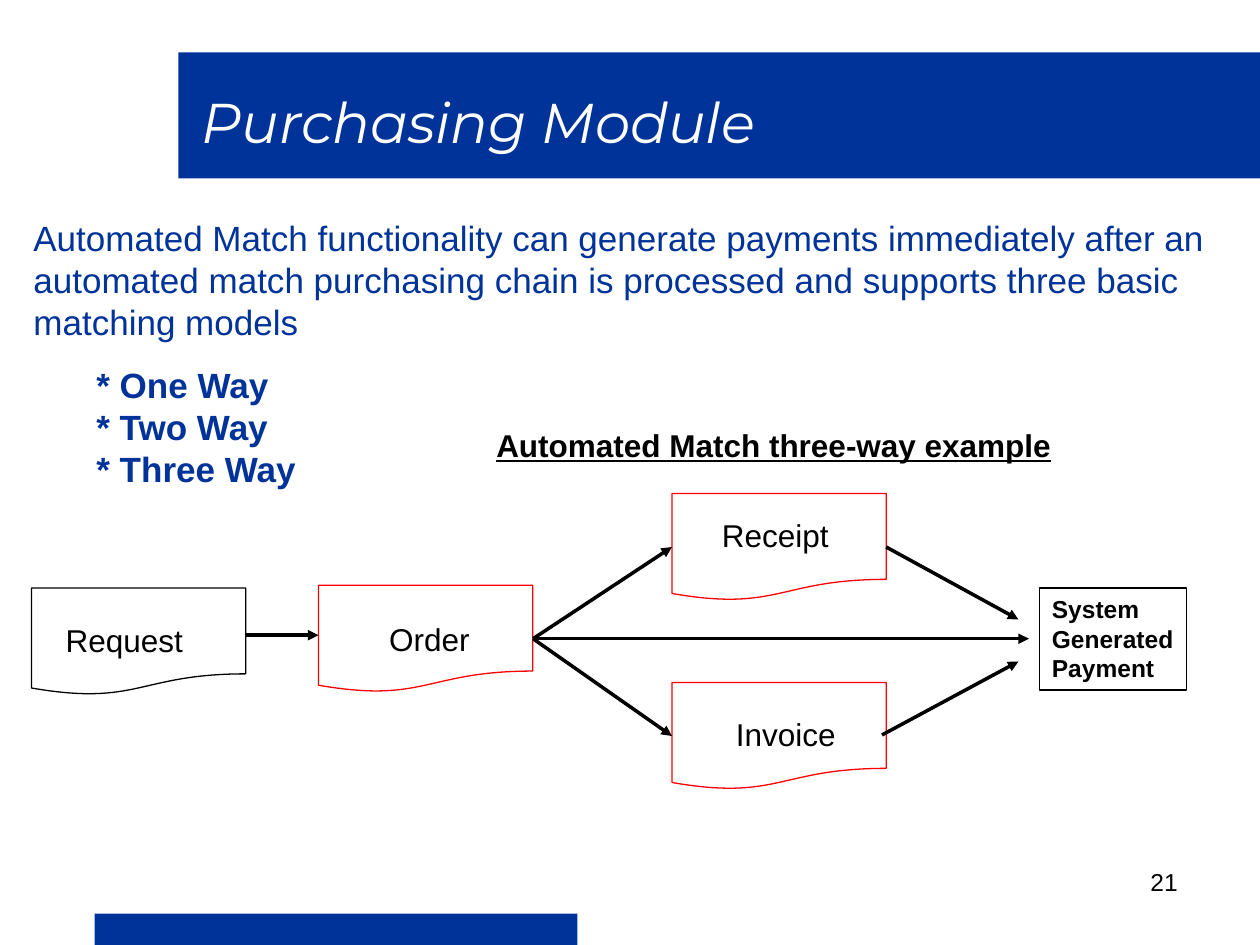
from pptx import Presentation
from pptx.dml.color import RGBColor
from pptx.enum.shapes import MSO_CONNECTOR, MSO_SHAPE
from pptx.enum.text import MSO_ANCHOR, MSO_AUTO_SIZE, PP_ALIGN
from pptx.oxml.ns import qn
from pptx.util import Pt
from lxml import etree

RECT, DOCUMENT = MSO_SHAPE.RECTANGLE, MSO_SHAPE.FLOWCHART_DOCUMENT
STRAIGHT = MSO_CONNECTOR.STRAIGHT
TOP, MIDDLE = MSO_ANCHOR.TOP, MSO_ANCHOR.MIDDLE
LEFT, CENTER, RIGHT = PP_ALIGN.LEFT, PP_ALIGN.CENTER, PP_ALIGN.RIGHT
BLUE, WHITE, BLACK, RED = "003399", "FFFFFF", "000000", "FF0000"

# Content
TITLE = "Purchasing Module"
INTRO = ("Automated Match functionality can generate payments immediately after an "
         "automated match purchasing chain is processed and supports three basic "
         "matching models")
MODELS = ["* One Way", "* Two Way", "* Three Way"]
EXAMPLE = "Automated Match three-way example"
PAYMENT = ["System", "Generated", "Payment"]
PAGE = "21 "

# Geometry in points
BARS = [(54, 522, 276, 18), (102, 30, 618, 72)]
DOC_SIZE, LABEL_SIZE = (122.4, 61.2), (118, 46.8)
DOCUMENTS = [  # name, outline, document corner, label corner
    ("Request", BLACK, (18, 336), (12, 342)),
    ("Order", RED, (182, 334.4), (186.4, 341.6)),
    ("Receipt", RED, (384, 282), (384, 282)),
    ("Invoice", RED, (384, 390), (390, 396)),
]
ORDER_OUT = (304.6, 365)
ARROWS = [
    ((140, 363), (182, 363)),
    (ORDER_OUT, (588, 365)),
    (ORDER_OUT, (384, 312.6)),
    (ORDER_OUT, (384, 420.6)),
    ((506.4, 312.6), (582, 354)),
    ((504, 420), (582, 378)),
]


def color(hex_string):
    return RGBColor.from_string(hex_string)


def write(sp, lines, size, fill=BLACK, font="Arial", bold=False, italic=False,
          underline=False, align=LEFT, anchor=TOP, wrap=True):
    tf = sp.text_frame
    tf.auto_size = MSO_AUTO_SIZE.NONE
    tf.word_wrap = wrap
    tf.vertical_anchor = anchor
    for i, line in enumerate(lines):
        p = tf.add_paragraph() if i else tf.paragraphs[0]
        p.alignment = align
        r = p.add_run()
        r.text = line
        r.font.name, r.font.size = font, Pt(size)
        r.font.bold, r.font.italic, r.font.underline = bold, italic, underline
        r.font.color.rgb = color(fill)


def add_text(s, box, lines, size, **style):
    sp = s.shapes.add_textbox(*map(Pt, box))
    write(sp, lines, size, **style)


def add_box(s, kind, box, fill=None, line=None):
    sp = s.shapes.add_shape(kind, *map(Pt, box))
    sp.shadow.inherit = False
    if fill:
        sp.fill.solid()
        sp.fill.fore_color.rgb = color(fill)
    else:
        sp.fill.background()
    if line:
        sp.line.color.rgb = color(line)
        sp.line.width = Pt(0.75)
    else:
        sp.line.fill.background()
    return sp


def add_arrow(s, start, end):
    line = s.shapes.add_connector(STRAIGHT, *map(Pt, start + end))
    line.line.color.rgb = color(BLACK)
    line.line.width = Pt(2)
    etree.SubElement(line.line._get_or_add_ln(), qn("a:tailEnd"), type="triangle")
    etree.SubElement(line._element.spPr, qn("a:effectLst"))


def main():
    prs = Presentation()
    prs.slide_width, prs.slide_height = Pt(720), Pt(540)
    s = prs.slides.add_slide(prs.slide_layouts[5])

    # Bars, with the title above them
    for bar in BARS:
        add_box(s, RECT, bar, fill=BLUE)
    title = s.shapes.title
    s.shapes._spTree.append(title._element)
    title.left, title.top, title.width, title.height = map(Pt, (108, 24, 582, 90))
    write(title, [TITLE], 32, fill=WHITE, font="Montserrat", italic=True, anchor=MIDDLE)

    # Introduction and matching models
    add_text(s, (12, 120, 708, 79.2), [INTRO], 20, fill=BLUE)
    for i, model in enumerate(MODELS):
        add_text(s, (48, 204 + 24 * i, 168, 31), [model], 20, fill=BLUE, bold=True)

    # Three-way example
    add_text(s, (276.5, 240, 331, 28.8), [EXAMPLE], 18, bold=True, underline=True,
             wrap=False)
    for name, outline, corner, label in DOCUMENTS:
        add_box(s, DOCUMENT, corner + DOC_SIZE, line=outline)
        add_text(s, label + LABEL_SIZE, [name], 18, align=CENTER, anchor=MIDDLE)
    payment = add_box(s, RECT, (594, 336, 84, 58.3), line=BLACK)
    write(payment, PAYMENT, 14, bold=True, wrap=False)
    for start, end in ARROWS:
        add_arrow(s, start, end)

    # Page number
    add_text(s, (516, 492, 168, 37.5), [PAGE], 14, align=RIGHT)

    prs.save("out.pptx")


if __name__ == "__main__":
    main()
